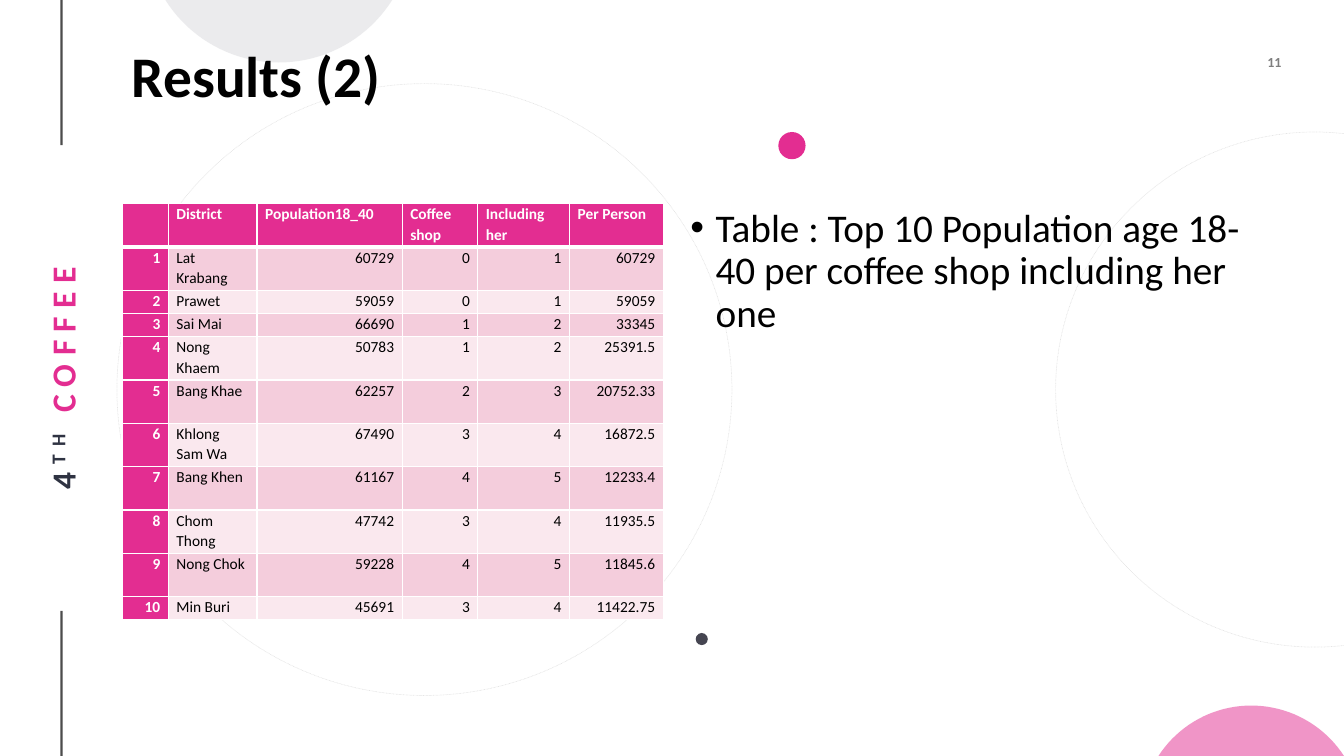
import math
from lxml import etree
from pptx import Presentation, util as u
from pptx.dml.color import RGBColor
from pptx.enum import dml, shapes, text
from pptx.oxml import ns

PINK, BLACK, WHITE, SLATE = "E32D91", "000000", "FFFFFF", "2F3342"
RIGHT = text.PP_ALIGN.RIGHT


def paint(fill, color, alpha=100):
    fill.solid()
    fill.fore_color.rgb = RGBColor.from_string(color)
    if alpha < 100:
        clr = fill._xPr.find(ns.qn("a:solidFill"))[0]
        etree.SubElement(clr, ns.qn("a:alpha"), val=str(alpha * 1000))


def write(p, words, size, color, bold=False, alpha=100):
    r = p.add_run()
    r.text = words
    r.font.name = "Calibri"
    r.font.size = u.Pt(size)
    r.font.bold = bold
    paint(r.font.fill, color, alpha)
    return r


prs = Presentation()
prs.slide_width, prs.slide_height = u.Inches(13.33), u.Inches(7.5)
s = prs.slides.add_slide(prs.slide_layouts[6])

for top, bottom in [(6.06, 7.5), (0, 1.44)]:
    rule = s.shapes.add_connector(
        shapes.MSO_CONNECTOR.STRAIGHT,
        *map(u.Inches, (0.61, top, 0.61, bottom)))
    rule.line.width = u.Pt(1.5)
    paint(rule.line.fill, BLACK, 70)
    etree.SubElement(rule._element.spPr, ns.qn("a:effectLst"))

for box in [(10.47, 1.31, 5.14, 5.11), (1.16, 0.83, 6.1, 6.07)]:
    ring = s.shapes.add_shape(shapes.MSO_SHAPE.OVAL, *map(u.Inches, box))
    ring.shadow.inherit = False
    ring.fill.background()
    ring.line.width = u.Pt(0.5)
    paint(ring.line.fill, BLACK, 10)
    ring.line.dash_style = dml.MSO_LINE.ROUND_DOT

for left, top, size, color in [(6.9, 6.28, 0.12, "454551"),
                               (7.72, 1.31, 0.27, PINK)]:
    dot = s.shapes.add_shape(shapes.MSO_SHAPE.OVAL,
                             *map(u.Inches, (left, top, size, size)))
    dot.shadow.inherit = False
    paint(dot.fill, color)
    dot.line.fill.background()

for left, edge, width, height, side, color in [
        (11.49, 7.5, 1.84, 0.5, -1, PINK),
        (1.64, 0, 2.25, 0.62, 1, "D8D9DC")]:
    radius = (width ** 2 / 4 + height ** 2) / (2 * height)
    sweep = math.asin(width / 2 / radius)
    arc = []
    for i in range(41):
        angle = sweep * (i / 20 - 1)
        x = left + width / 2 + radius * math.sin(angle)
        y = edge + side * (height - radius + radius * math.cos(angle))
        arc.append((u.Inches(x), u.Inches(y)))
    outline = s.shapes.build_freeform(*arc[0])
    outline.add_line_segments(arc[1:], close=True)
    cap = outline.convert_to_shape()
    cap.shadow.inherit = False
    paint(cap.fill, color, 50)
    cap.line.fill.background()

frames = []
for box, inset, anchor in [
        ((-1.69, 3.53, 4.61, 0.45), (0.02, 0.02), text.MSO_ANCHOR.MIDDLE),
        ((11.94, 0.48, 0.77, 0.27), (0, 0), text.MSO_ANCHOR.MIDDLE),
        ((1.21, 0.4, 11.21, 0.77), (0.1, 0.05), text.MSO_ANCHOR.MIDDLE),
        ((6.75, 2.02, 5.67, 4.73), (0.1, 0.05), text.MSO_ANCHOR.TOP)]:
    sp = s.shapes.add_textbox(*map(u.Inches, box))
    tf = sp.text_frame
    tf.word_wrap = True
    tf.vertical_anchor = anchor
    tf.margin_left = tf.margin_right = u.Inches(inset[0])
    tf.margin_top = tf.margin_bottom = u.Inches(inset[1])
    frames.append(sp)
side_name, number, title, body = frames

side_name.rotation = 270
p = side_name.text_frame.paragraphs[0]
p.alignment = text.PP_ALIGN.CENTER
for words, color, raised in [("4", SLATE, 0), ("TH ", SLATE, 30),
                             ("COFFEE", PINK, 0)]:
    rPr = write(p, words, 24, color, True).font._element
    rPr.set("spc", "600")
    rPr.set("baseline", str(raised * 1000))

p = number.text_frame.paragraphs[0]
p.alignment = RIGHT
write(p, "11", 10, BLACK, True, 50)

p = title.text_frame.paragraphs[0]
p.line_spacing = 0.9
write(p, "Results (2)", 41, BLACK, True)

p = body.text_frame.paragraphs[0]
p.line_spacing = 0.9
p.space_before = u.Pt(10)
write(p, "Table : Top 10 Population age 18-40 per coffee shop including her one",
      28, BLACK)
pPr = p._p.get_or_add_pPr()
pPr.set("marL", str(u.Inches(0.25)))
pPr.set("indent", str(u.Inches(-0.25)))
etree.SubElement(pPr, ns.qn("a:buFont"), typeface="Arial")
etree.SubElement(pPr, ns.qn("a:buChar"), char="•")

districts = [("Lat Krabang", 60729, 0), ("Prawet", 59059, 0),
             ("Sai Mai", 66690, 1), ("Nong Khaem", 50783, 1),
             ("Bang Khae", 62257, 2), ("Khlong Sam Wa", 67490, 3),
             ("Bang Khen", 61167, 4), ("Chom Thong", 47742, 3),
             ("Nong Chok", 59228, 4), ("Min Buri", 45691, 3)]
rows = [("", "District", "Population18_40", "Coffee shop", "Including her",
         "Per Person")]
for rank, (name, people, shops) in enumerate(districts, 1):
    per_person = f"{people / (shops + 1):.7g}"
    rows.append((rank, name, people, shops, shops + 1, per_person))

table = s.shapes.add_table(len(rows), 6, *map(u.Inches, (1.21, 2.02, 5.38, 4.18))).table
for column, width in zip(table.columns, (0.46, 0.88, 1.44, 0.75, 0.91, 0.93)):
    column.width = u.Inches(width)
for i, row in enumerate(rows):
    table.rows[i].height = u.Inches(0.23 if i in (2, 3, 10) else 0.43)
    for j, value in enumerate(row):
        cell = table.cell(i, j)
        strong = i == 0 or j == 0
        cell.margin_left = cell.margin_right = u.Inches(0.08)
        cell.margin_top = cell.margin_bottom = 0
        paint(cell.fill, PINK if strong else ("FAE8EE", "F4CDDC")[i % 2])
        if value != "":
            p = cell.text_frame.paragraphs[0]
            p.line_spacing = 1.07
            if i and j != 1:
                p.alignment = RIGHT
            write(p, str(value), 11, WHITE if strong else BLACK, strong)
        tcPr = cell._tc.get_or_add_tcPr()
        for k, edge in enumerate("LRTB"):
            thick = (i, edge) in [(0, "B"), (1, "T")]
            ln = etree.Element(ns.qn("a:ln" + edge), w=str(u.Pt(3 if thick else 1)))
            solid = etree.SubElement(ln, ns.qn("a:solidFill"))
            etree.SubElement(solid, ns.qn("a:srgbClr"), val=WHITE)
            tcPr.insert(k, ln)

prs.save("out.pptx")
